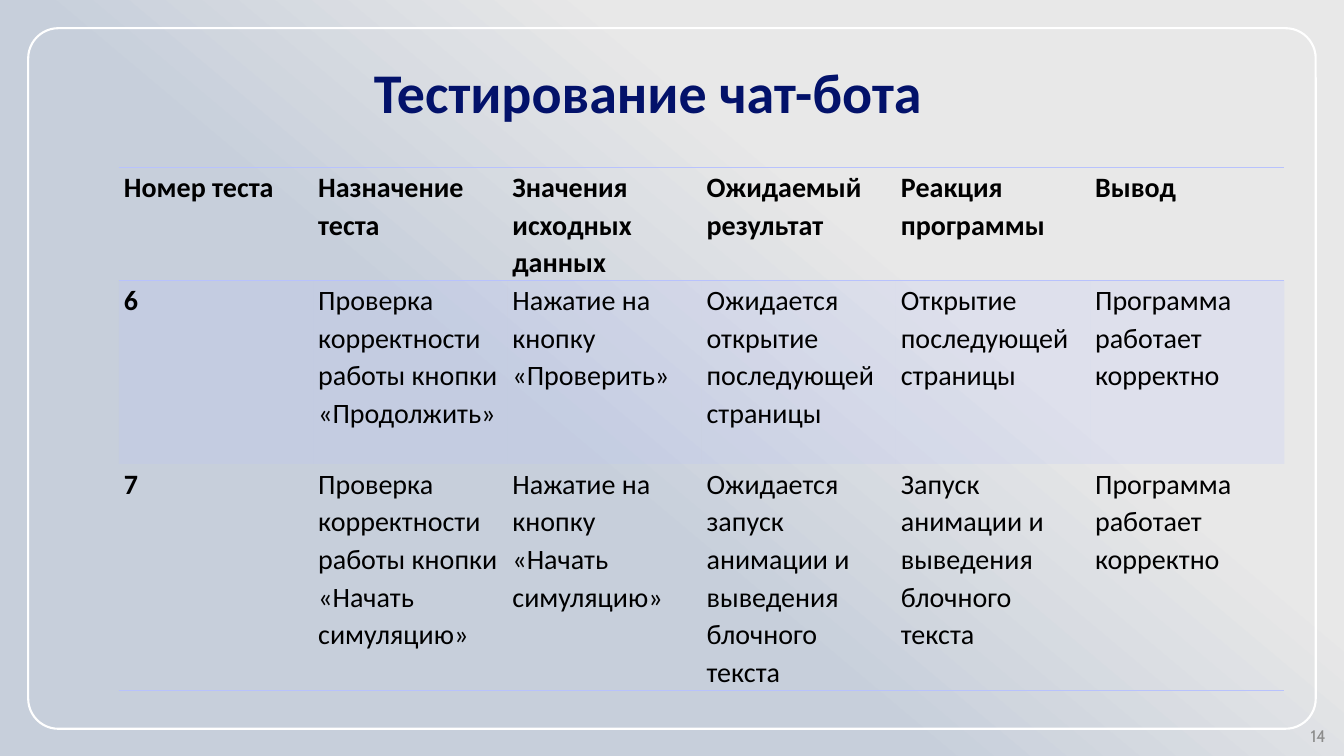
"""Build the slide with the table of chat bot tests."""
from dataclasses import dataclass

import pptx
import pptx.dml.color
import pptx.enum.shapes
import pptx.enum.text
import pptx.oxml
import pptx.oxml.ns
import pptx.util

Align = pptx.enum.text.PP_ALIGN
Anchor = pptx.enum.text.MSO_ANCHOR
Fit = pptx.enum.text.MSO_AUTO_SIZE
WIDE, HIGH = 13.33, 7.5
PLAIN = "{2D5ABB26-0587-4C30-8999-92F81FD0307C}"


@dataclass(frozen=True)
class Theme:
    light: str = "E8E8E8"
    haze: str = "C7CFDB"
    frame: str = "FFFFFF"
    rule: str = "B8C2FD"
    title: str = "03126A"
    body: str = "000000"
    mute: str = "8C8C8C"
    font: str = "Calibri"
    side: str = "Cabin"
    big: int = 40
    mid: int = 20
    small: int = 12


@dataclass(frozen=True)
class Box:
    """Place in percent of the slide's width and height."""
    left: float
    top: float
    width: float
    height: float

    def spot(self) -> tuple:
        return (across(self.left), down(self.top),
                across(self.width), down(self.height))


@dataclass(frozen=True)
class Row:
    height: float
    cells: tuple
    head: bool = False
    fill: bool = False
    edges: tuple = ()


THEME = Theme()
FRAME = Box(2.1, 3.73, 95.8, 92.67)
TITLE = Box(27.08, 6.93, 42.76, 10.27)
GRID = Box(8.85, 22.13, 86.72, 64.67)
PAGE = Box(76.89, 95.73, 22.5, 3.33)
ROWS = (
    Row(12.13, ("Номер теста", "Назначение теста", "Значения исходных данных",
                "Ожидаемый результат", "Реакция программы", "Вывод"),
        head=True, edges=("lnT", "lnB")),
    Row(24.27, ("6", "Проверка корректности работы кнопки «Продолжить»",
                "Нажатие на кнопку «Проверить»",
                "Ожидается открытие последующей страницы",
                "Открытие последующей страницы",
                "Программа работает корректно"), fill=True, edges=("lnT",)),
    Row(28.27, ("7", "Проверка корректности работы кнопки «Начать симуляцию»",
                "Нажатие на кнопку «Начать симуляцию»",
                "Ожидается запуск анимации и выведения блочного текста",
                "Запуск анимации и выведения блочного текста",
                "Программа работает корректно"), edges=("lnB",)),
)


def across(share: float) -> int:
    return pptx.util.Inches(WIDE * share / 100)


def down(share: float) -> int:
    return pptx.util.Inches(HIGH * share / 100)


def tint(code: str):
    return pptx.dml.color.RGBColor.from_string(code)


def fade(color, share: int) -> None:
    alpha = pptx.oxml.parse_xml(
        f'<a:alpha {pptx.oxml.ns.nsdecls("a")} val="{share * 1000}"/>')
    color.append(alpha)


def write(frame, text: str, *, size: int, color: str, font: str = THEME.font,
          bold: bool = False, align=Align.LEFT, lead: float = 1.0) -> None:
    part = frame.paragraphs[0]
    part.alignment = align
    part.line_spacing = lead
    run = part.add_run()
    run.text = text
    run.font.name = font
    run.font.size = pptx.util.Pt(size)
    run.font.bold = bold
    run.font.color.rgb = tint(color)


def paint(slide) -> None:
    fill = slide.background.fill
    fill.gradient()
    fill.gradient_angle = 230
    stops = ((0.33, THEME.light), (0.59, THEME.haze))
    for stop, (place, code) in zip(fill.gradient_stops, stops):
        stop.position = place
        stop.color.rgb = tint(code)
    fade(slide.element.xpath(".//p:bg//a:gs/a:srgbClr")[-1], 65)


def border(cell, edges: tuple) -> None:
    props = cell._tc.get_or_add_tcPr()
    names = pptx.oxml.ns.nsdecls("a")
    for spot, side in enumerate(("lnL", "lnR", "lnT", "lnB")):
        ink = (f'<a:solidFill><a:srgbClr val="{THEME.rule}"/></a:solidFill>'
               if side in edges else "<a:noFill/>")
        line = pptx.oxml.parse_xml(
            f'<a:{side} {names} w="12700">{ink}</a:{side}>')
        props.insert(spot, line)


def draw_cell(cell, text: str, row: Row, bold: bool) -> None:
    cell.margin_left = cell.margin_right = pptx.util.Inches(0.05)
    cell.margin_top = cell.margin_bottom = 0
    write(cell.text_frame, text, size=THEME.mid, color=THEME.body,
          bold=bold, lead=1.1)
    if row.fill:
        cell.fill.solid()
        cell.fill.fore_color.rgb = tint(THEME.rule)
        fade(cell._tc.xpath("./a:tcPr/a:solidFill/a:srgbClr")[0], 20)
    else:
        cell.fill.background()
    border(cell, row.edges)


def draw_grid(slide) -> None:
    count = len(ROWS[0].cells)
    table = slide.shapes.add_table(len(ROWS), count, *GRID.spot()).table
    table.first_row = table.horz_banding = False
    table._tbl.xpath(".//a:tableStyleId")[0].text = PLAIN
    for col in table.columns:
        col.width = across(GRID.width / count)
    for at, row in enumerate(ROWS):
        table.rows[at].height = down(row.height)
        for col, text in enumerate(row.cells):
            draw_cell(table.cell(at, col), text, row, row.head or col == 0)


def draw_frame(slide) -> None:
    kind = pptx.enum.shapes.MSO_SHAPE.ROUNDED_RECTANGLE
    shape = slide.shapes.add_shape(kind, *FRAME.spot())
    shape.adjustments[0] = 0.043
    shape.shadow.inherit = False
    shape.fill.background()
    shape.line.color.rgb = tint(THEME.frame)
    shape.line.width = pptx.util.Pt(1.5)


def main() -> None:
    deck = pptx.Presentation()
    deck.slide_width, deck.slide_height = across(100), down(100)
    slide = deck.slides.add_slide(deck.slide_layouts[6])
    paint(slide)
    draw_frame(slide)
    draw_grid(slide)
    page = slide.shapes.add_textbox(*PAGE.spot()).text_frame
    page.word_wrap = True
    page.vertical_anchor = Anchor.MIDDLE
    write(page, "14", size=THEME.small, color=THEME.mute, font=THEME.side,
          align=Align.RIGHT)
    title = slide.shapes.add_textbox(*TITLE.spot()).text_frame
    title.word_wrap = False
    title.auto_size = Fit.SHAPE_TO_FIT_TEXT
    write(title, "Тестирование чат-бота", size=THEME.big, color=THEME.title,
          bold=True)
    deck.save("out.pptx")


if __name__ == "__main__":
    main()
